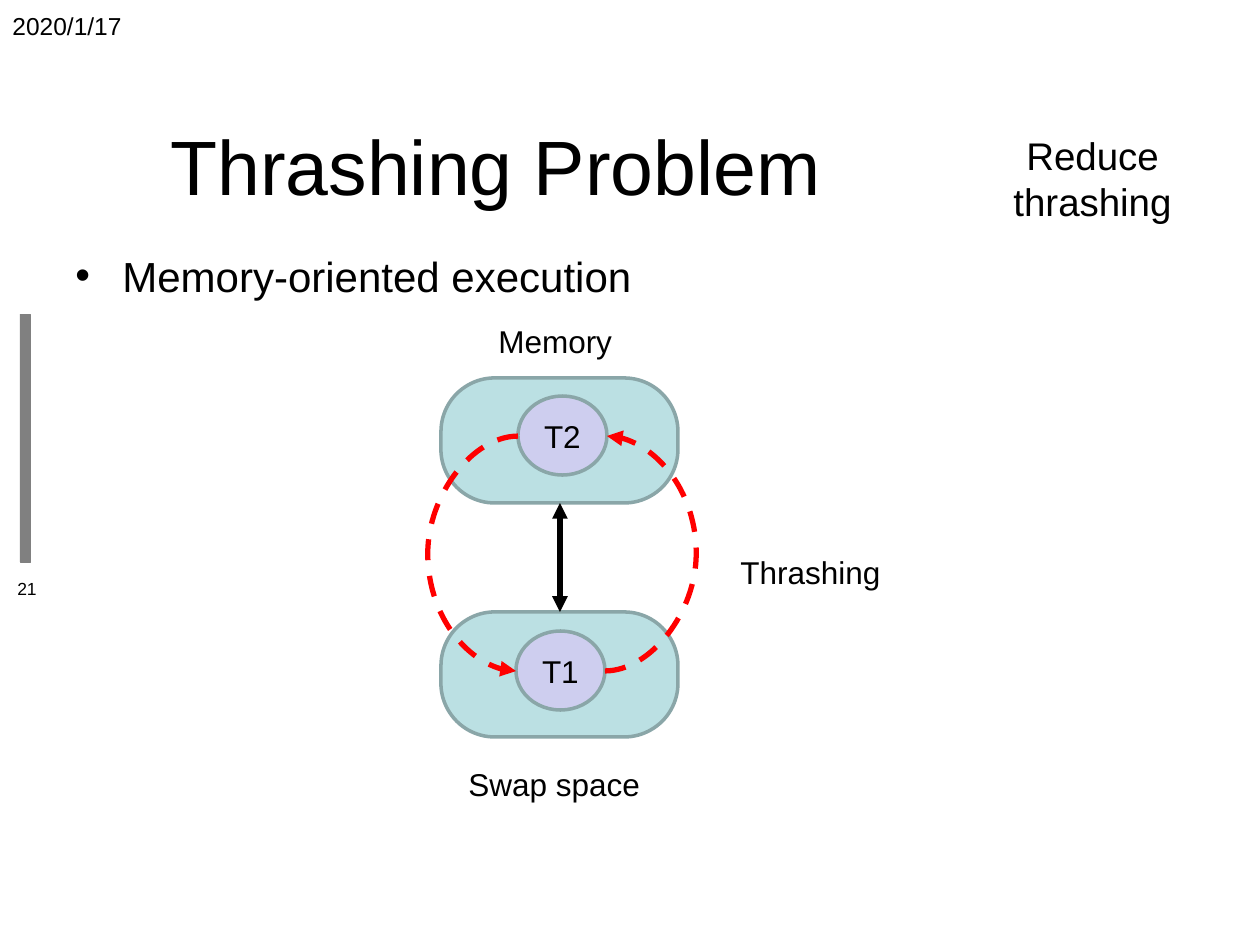
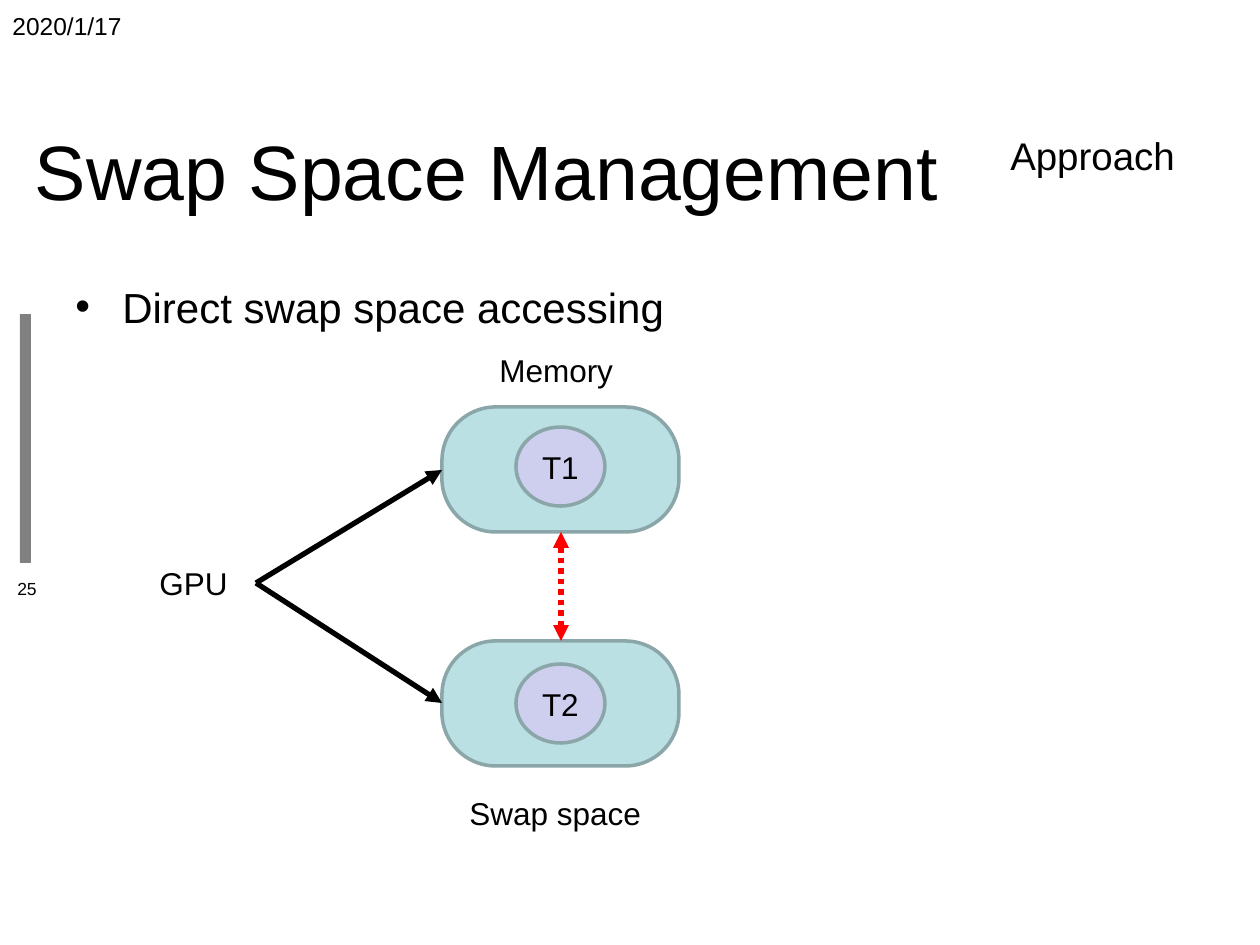
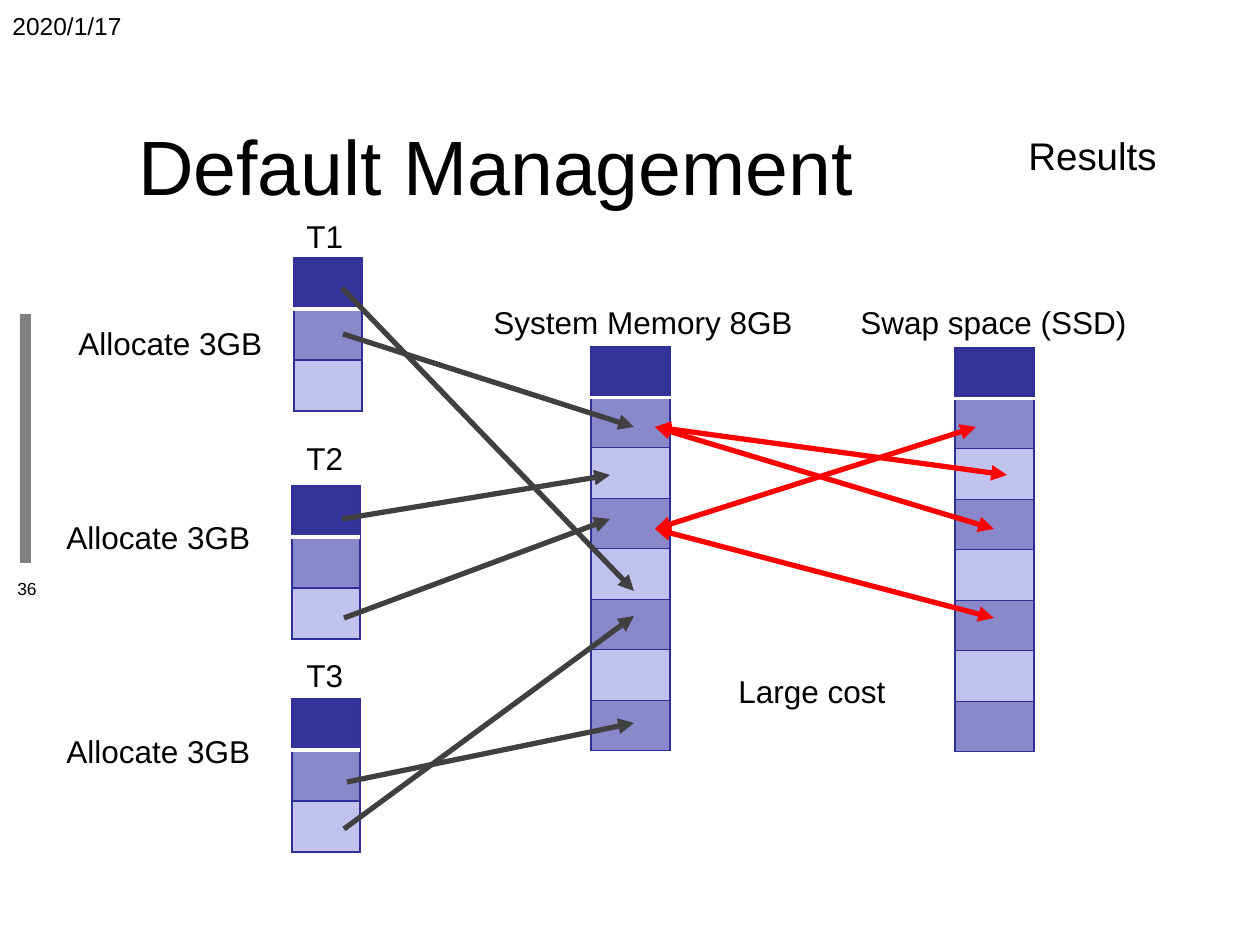
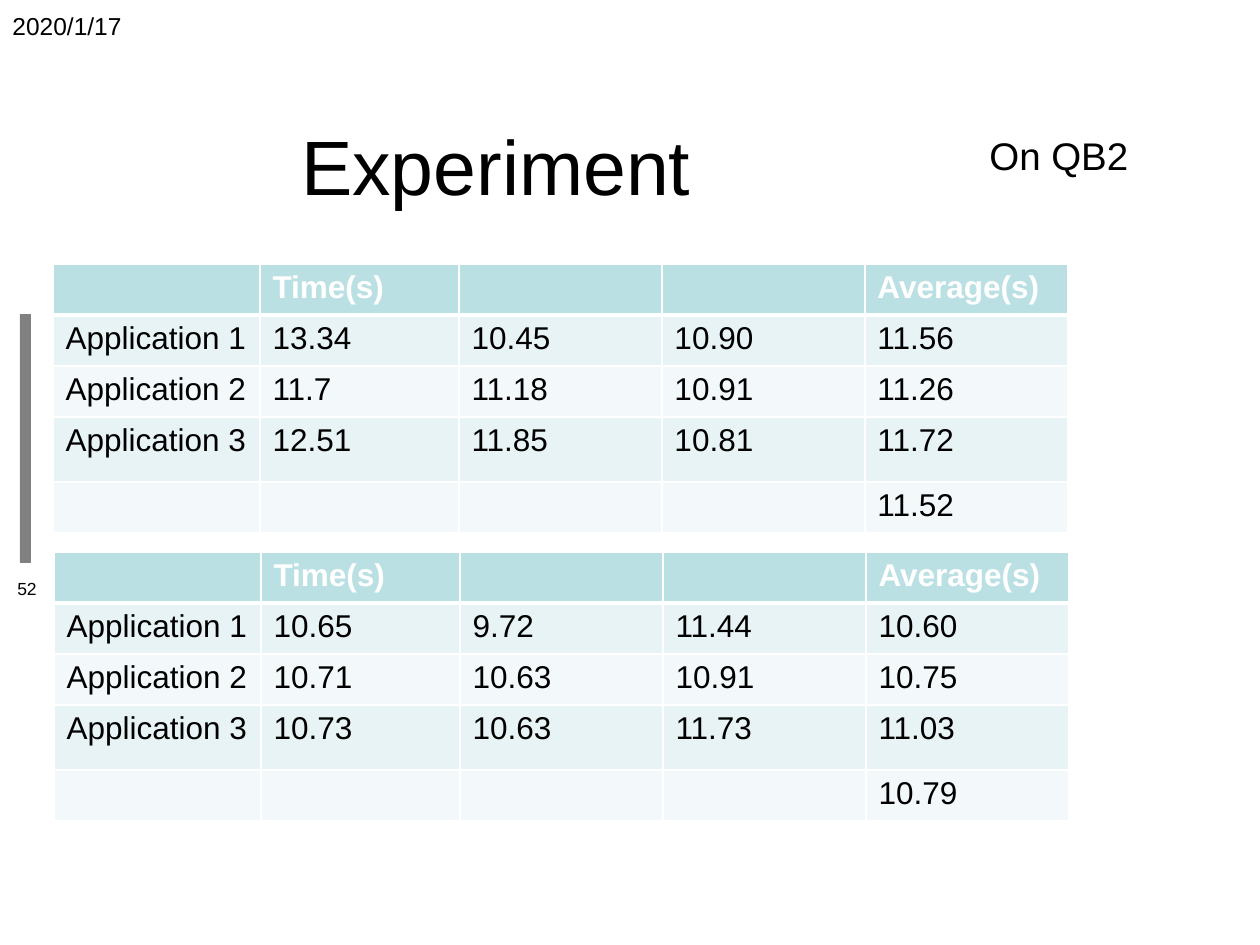
import lxml.etree
import pptx
import pptx.dml.color
import pptx.enum.dml
import pptx.enum.shapes
import pptx.enum.text
import pptx.oxml.ns
import pptx.util

EMU_PER_PX = 914400 / 126
FONT = "Arial"
BLACK, WHITE, RED = "000000", "FFFFFF", "FF0000"
BAR_GRAY, ARROW_GRAY, OUTLINE = "808080", "404040", "8AA6A8"
TEAL, TEAL_BANDS = "BBE0E3", ("E7F3F4", "F3F9FA")
TASK_FILL = "CECEEF"
NAVY, NAVY_LINE, NAVY_BANDS = "333399", "2F2F98", ("8888CB", "C2C2EE")
DATE = "2020/1/17"

ALIGN = pptx.enum.text.PP_ALIGN
ANCHOR = pptx.enum.text.MSO_ANCHOR
DASH = pptx.enum.dml.MSO_LINE
SHAPE = pptx.enum.shapes.MSO_SHAPE
CONNECTOR = pptx.enum.shapes.MSO_CONNECTOR
qn = pptx.oxml.ns.qn


def px(length):
    return pptx.util.Emu(round(length * EMU_PER_PX))


def color(value):
    return pptx.dml.color.RGBColor.from_string(value)


def add_xml(parent, tag, **attributes):
    return lxml.etree.SubElement(parent, qn(tag), attributes)


class Deck:
    """Holds the presentation, its shared style and the current slide."""

    def __init__(self):
        self.presentation = pptx.Presentation()
        self.presentation.slide_width = px(1260)
        self.presentation.slide_height = px(945)
        self.slide = None

    def new_slide(self, title, number, note, title_box=(64, 105, 864, 120),
                  note_align=ALIGN.CENTER):
        self.slide = self.presentation.slides.add_slide(self.presentation.slide_layouts[6])
        self.shape(SHAPE.RECTANGLE, 20, 314, 10, 248, BAR_GRAY, BAR_GRAY, 0.25)
        self.text(title, *title_box, size=44, align=ALIGN.CENTER, anchor=ANCHOR.MIDDLE)
        self.text(DATE, 0, 5, 294, 66, size=14)
        self.text(number, 0, 572, 54, 38, size=10, align=ALIGN.CENTER)
        self.text(note, 977, 126, 231, 63, size=22, align=note_align, spaced=True)

    def fill_text(self, frame, text, size=18, align=ALIGN.LEFT, ink=BLACK, bold=False):
        paragraph = frame.paragraphs[0]
        paragraph.alignment = align
        run = paragraph.add_run()
        run.text = text
        run.font.name = FONT
        run.font.size = pptx.util.Pt(size)
        run.font.bold = bold
        run.font.color.rgb = color(ink)
        return paragraph

    def text(self, text, left, top, width, height, size=18, align=ALIGN.LEFT,
             anchor=ANCHOR.TOP, spaced=False):
        box = self.slide.shapes.add_textbox(px(left), px(top), px(width), px(height))
        frame = box.text_frame
        frame.word_wrap = True
        frame.vertical_anchor = anchor
        paragraph = self.fill_text(frame, text, size, align)
        properties = paragraph._p.get_or_add_pPr()
        if spaced:
            add_xml(add_xml(properties, "a:spcBef"), "a:spcPct", val="20000")
        return properties

    def label(self, text, left, top, width):
        self.text(text, left, top, width, 50, anchor=ANCHOR.MIDDLE)

    def bullet(self, text, top, height):
        properties = self.text(text, 63, top, 1023, height, size=24, spaced=True)
        properties.set("marL", str(px(47)))
        properties.set("indent", str(px(-47)))
        add_xml(properties, "a:buFont", typeface=FONT)
        add_xml(properties, "a:buChar", char="•")

    def shape(self, kind, left, top, width, height, fill, line, weight):
        shape = self.slide.shapes.add_shape(kind, px(left), px(top), px(width), px(height))
        shape.shadow.inherit = False
        shape.fill.solid()
        shape.fill.fore_color.rgb = color(fill)
        shape.line.color.rgb = color(line)
        shape.line.width = pptx.util.Pt(weight)
        return shape

    def task(self, name, left, top):
        task = self.shape(SHAPE.FLOWCHART_CONNECTOR, left, top, 89, 79, TASK_FILL, OUTLINE, 2)
        task.text_frame.vertical_anchor = ANCHOR.MIDDLE
        task.text_frame.margin_left = task.text_frame.margin_right = 0
        self.fill_text(task.text_frame, name, align=ALIGN.CENTER)
        return task

    def arrow(self, start, end, ink=BLACK, dash=None, both=False, kind=CONNECTOR.STRAIGHT):
        connector = self.slide.shapes.add_connector(kind, *map(px, start + end))
        connector.line.color.rgb = color(ink)
        connector.line.width = pptx.util.Pt(3)
        if dash:
            connector.line.dash_style = dash
        properties = connector.element.spPr
        line = properties.find(qn("a:ln"))
        if both:
            add_xml(line, "a:headEnd", type="triangle")
        add_xml(line, "a:tailEnd", type="triangle")
        add_xml(properties, "a:effectLst")
        return connector

    def loop(self, start, start_task, end, end_task, bulge, site):
        """Dashed curve between the same side of two tasks, bulging outwards."""
        connector = self.arrow(start, end, RED, DASH.DASH, kind=CONNECTOR.CURVE)
        properties = connector.element.spPr
        guides = properties.find(qn("a:prstGeom")).get_or_add_avLst()
        ratio = round(100000 * bulge / abs(end[0] - start[0]))
        add_xml(guides, "a:gd", name="adj1", fmla=f"val {ratio}")
        transform = properties.find(qn("a:xfrm"))
        if transform.get("flipH"):
            del transform.attrib["flipH"]
            transform.set("rot", "10800000")
            transform.set("flipV", "1")
        ends = next(connector.element.iter(qn("p:cNvCxnSpPr")))
        for tag, task in (("a:stCxn", start_task), ("a:endCxn", end_task)):
            add_xml(ends, tag, id=str(task.shape_id), idx=str(site))

    def memory_pair(self, left, top, link_ink, link_dash=None):
        """Memory above swap space, joined by a two-way arrow."""
        self.label("Memory", left + 45, top - 62, 149)
        self.label("Swap space", left + 15, top + 381, 208)
        for box_top in (top, top + 234):
            box = self.shape(SHAPE.ROUNDED_RECTANGLE, left, box_top, 237, 125, TEAL, OUTLINE, 2)
            box.adjustments[0] = 0.43
        middle = left + 119
        self.arrow((middle, top + 234), (middle, top + 125), link_ink, link_dash, both=True)

    def table(self, left, top, widths, heights, head, bands, border, weight, head_weight,
              rows=()):
        frame = self.slide.shapes.add_table(len(heights), len(widths), px(left), px(top),
                                            px(sum(widths)), px(sum(heights)))
        table = frame.table
        table.horz_banding = False
        for column, width in zip(table.columns, widths):
            column.width = px(width)
        for index, height in enumerate(heights):
            table.rows[index].height = px(height)
            for cell in table.rows[index].cells:
                properties = cell._tc.get_or_add_tcPr()
                for side in "LRTB":
                    under_head = (index, side) in ((0, "B"), (1, "T"))
                    line = add_xml(properties, f"a:ln{side}",
                                   w=str(pptx.util.Pt(head_weight if under_head else weight)))
                    add_xml(add_xml(line, "a:solidFill"), "a:srgbClr",
                            val=WHITE if under_head else border)
                cell.fill.solid()
                cell.fill.fore_color.rgb = color(bands[(index - 1) % 2] if index else head)
        for index, row in enumerate(rows):
            for cell, value in zip(table.rows[index].cells, row):
                if value:
                    self.fill_text(cell.text_frame, value, ink=BLACK if index else WHITE,
                                   bold=index == 0)

    def blocks(self, left, top, width, count, height):
        self.table(left, top, [width], [height] * count, NAVY, NAVY_BANDS, NAVY_LINE, 0.75, 2)

    def timings(self, left, top, results, overall):
        rows = [("", "Time(s)", "", "", "Average(s)")]
        rows += [(f"Application {number}", *values) for number, values in enumerate(results, 1)]
        rows.append(("", "", "", "", overall))
        self.table(left, top, [207, 199, 203, 203, 203], [51, 51, 51, 65, 48], TEAL,
                   TEAL_BANDS, WHITE, 1, 3, rows)


def thrashing_slide(deck):
    deck.new_slide("Thrashing Problem", "21", "Reduce thrashing")
    deck.bullet("Memory-oriented execution", 244, 600)
    deck.memory_pair(441, 378, BLACK)
    swapped = deck.task("T1", 516, 631)
    resident = deck.task("T2", 518, 396)
    deck.loop((605, 671), swapped, (607, 436), resident, 92, site=6)
    deck.label("Thrashing", 728, 547, 169)
    deck.loop((518, 436), resident, (516, 671), swapped, 91, site=2)


def swap_slide(deck):
    deck.new_slide("Swap Space Management", "25", "Approach", (15, 110, 944, 120))
    deck.bullet("Direct swap space accessing", 275, 570)
    deck.label("GPU", 147, 558, 110)
    deck.memory_pair(442, 407, RED, DASH.ROUND_DOT)
    deck.task("T1", 516, 427)
    deck.task("T2", 516, 664)
    for target in (470, 703):
        deck.arrow((256, 583), (442, target))


def default_slide(deck):
    deck.new_slide("Default Management", "36", "Results")
    for name, name_top, left, top, request_left, request_top in (
            ("T1", 211, 294, 258, 66, 318),
            ("T2", 433, 292, 486, 54, 512),
            ("T3", 650, 292, 699, 54, 726)):
        deck.label(name, 294, name_top, 77)
        deck.label("Allocate 3GB", request_left, request_top, 228)
        deck.blocks(left, top, 68, 3, 51)
    deck.label("System Memory 8GB", 481, 297, 348)
    deck.blocks(591, 347, 79, 8, 50)
    deck.label("Swap space (SSD)", 848, 297, 292)
    deck.blocks(955, 348, 79, 8, 50)
    for start, end in (
            ((343, 334), (634, 427)), ((342, 288), (634, 591)),
            ((342, 519), (610, 475)), ((344, 618), (610, 519)),
            ((347, 782), (634, 723)), ((344, 829), (634, 616))):
        deck.arrow(start, end, ARROW_GRAY)
    for start, end in (
            ((655, 427), (1007, 475)), ((655, 529), (976, 427)),
            ((655, 427), (994, 529)), ((655, 529), (994, 618))):
        deck.arrow(start, end, RED, both=True)
    deck.label("Large cost", 726, 666, 179)


def experiment_slide(deck):
    deck.new_slide("Experiment", "52", "On QB2", note_align=ALIGN.LEFT)
    deck.timings(53, 264, [("13.34", "10.45", "10.90", "11.56"),
                           ("11.7", "11.18", "10.91", "11.26"),
                           ("12.51", "11.85", "10.81", "11.72")], "11.52")
    deck.timings(54, 552, [("10.65", "9.72", "11.44", "10.60"),
                           ("10.71", "10.63", "10.91", "10.75"),
                           ("10.73", "10.63", "11.73", "11.03")], "10.79")


def main():
    deck = Deck()
    for build in (thrashing_slide, swap_slide, default_slide, experiment_slide):
        build(deck)
    deck.presentation.save("out.pptx")


if __name__ == "__main__":
    main()
